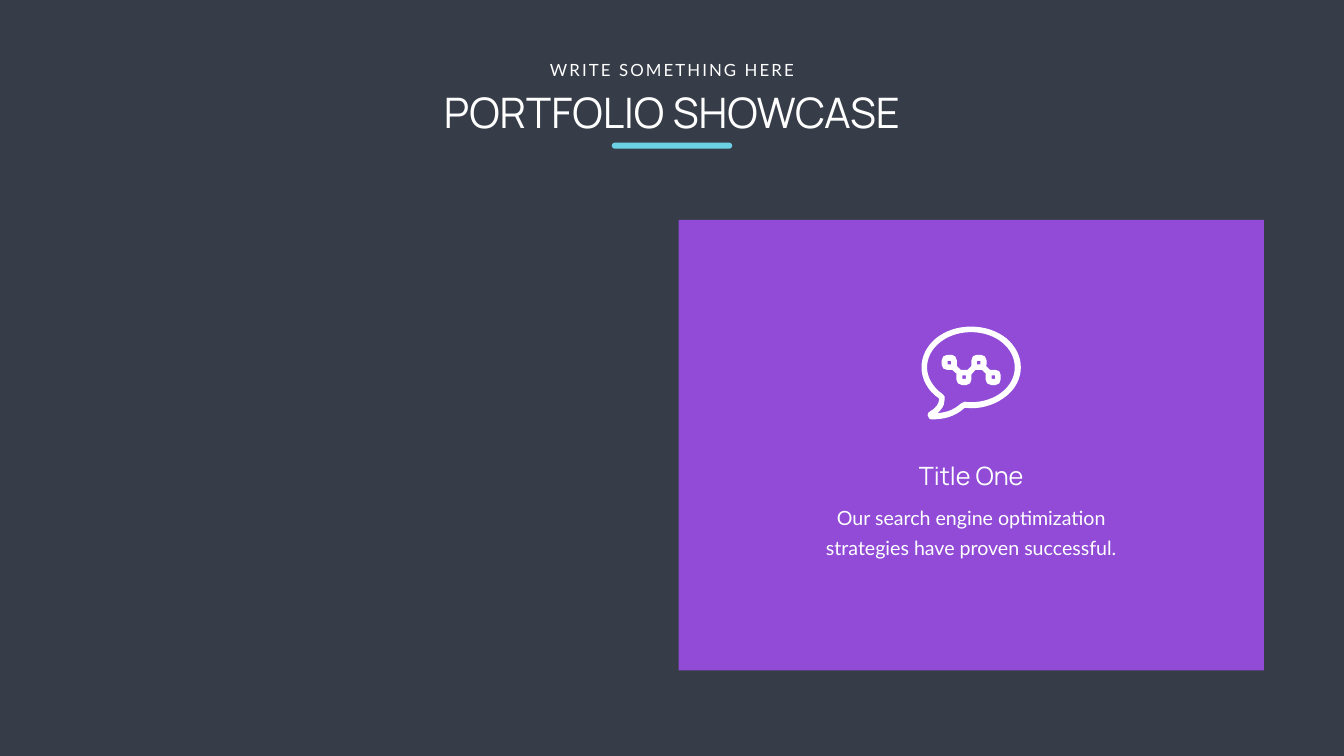
from lxml import etree
from pptx import Presentation, util as u
from pptx.dml.color import RGBColor
from pptx.enum import shapes, text
from pptx.oxml import ns

WIDTH, HEIGHT = u.Inches(26.66), u.Inches(15)
SLATE = RGBColor(0x36, 0x3D, 0x48)
PURPLE = RGBColor(0x91, 0x4B, 0xD7)
CYAN = RGBColor(0x6C, 0xD1, 0xE5)
WHITE = RGBColor(0xFF, 0xFF, 0xFF)

HEADER_X, CARD_X = 50, 72.26
ICON_UNIT = u.Inches(0.01)

BUBBLE = [
    [(98, 150), (94, 150, 90, 150, 86, 149), (83, 149, 81, 150, 79, 152),
     (71, 159, 62, 165, 52, 168), (45, 170, 39, 171, 31, 172),
     (34, 170, 37, 167, 39, 164), (44, 158, 46, 151, 46, 144),
     (46, 142, 46, 141, 46, 139), (45, 137, 44, 135, 42, 134),
     (23, 121, 11, 101, 11, 81), (11, 42, 50, 11, 98, 11),
     (147, 11, 185, 42, 185, 81), (185, 119, 147, 150, 98, 150)],
    [(168, 23), (149, 8, 125, 0, 98, 0), (72, 0, 48, 8, 29, 23),
     (10, 39, 0, 59, 0, 81), (0, 104, 12, 127, 34, 142),
     (35, 143, 35, 144, 35, 144), (35, 151, 30, 161, 17, 168),
     (14, 170, 12, 172, 12, 176), (12, 178, 13, 180, 15, 182),
     (16, 184, 19, 184, 21, 184), (42, 184, 65, 180, 86, 161),
     (90, 161, 94, 162, 98, 162), (125, 162, 149, 153, 168, 138),
     (187, 123, 197, 102, 197, 81), (197, 59, 187, 39, 168, 23)],
]
NODE_CHAIN = [
    (107, 30), (98, 30), (97, 30, 96, 30, 96, 30), (88, 22),
    (88, 22, 89, 21, 89, 20), (89, 11), (89, 5, 84, 0, 78, 0),
    (69, 0), (63, 0, 59, 5, 59, 11), (59, 20),
    (59, 21, 59, 22, 59, 22), (51, 30), (51, 30, 50, 30, 49, 30),
    (40, 30), (39, 30, 38, 30, 38, 30), (30, 22),
    (30, 22, 30, 21, 30, 20), (30, 11), (30, 5, 25, 0, 20, 0),
    (11, 0), (5, 0, 0, 5, 0, 11), (0, 20), (0, 26, 5, 30, 11, 30),
    (20, 30), (20, 30, 21, 30, 21, 30), (30, 38),
    (29, 39, 29, 39, 29, 40), (29, 49), (29, 55, 34, 60, 40, 60),
    (49, 60), (55, 60, 59, 55, 59, 49), (59, 40),
    (59, 40, 59, 39, 59, 39), (67, 30), (68, 30, 69, 30, 69, 30),
    (78, 30), (79, 30, 79, 30, 80, 30), (88, 38),
    (87, 39, 87, 39, 87, 40), (87, 49), (87, 55, 92, 60, 98, 60),
    (107, 60), (113, 60, 117, 55, 117, 49), (117, 40),
    (117, 34, 113, 30, 107, 30),
]
HOLE_CORNERS = [(99, 41), (41, 41), (12, 12), (70, 12)]


def centred(cx, top, width, height):
    return (round(WIDTH * (cx - width / 2) / 100), round(HEIGHT * top / 100),
            round(WIDTH * width / 100), round(HEIGHT * height / 100))


def paint(sp, colour):
    sp.shadow.inherit = False
    sp.fill.solid()
    sp.fill.fore_color.rgb = colour
    sp.line.fill.background()


def add_block(s, kind, box, colour):
    sp = s.shapes.add_shape(kind, *box)
    paint(sp, colour)
    return sp


def write(sp, words, font, size, wrap=True):
    tf = sp.text_frame
    tf.text = words
    tf.word_wrap = wrap
    tf.auto_size = text.MSO_AUTO_SIZE.SHAPE_TO_FIT_TEXT
    tf.vertical_anchor = text.MSO_ANCHOR.TOP
    p = tf.paragraphs[0]
    p.alignment = text.PP_ALIGN.CENTER
    p.font.name = font
    p.font.size = u.Pt(size)
    p.font.color.rgb = WHITE
    return p


def add_label(s, box, words, font, size, wrap=False):
    sp = s.shapes.add_textbox(*box)
    return sp, write(sp, words, font, size, wrap)


def set_title(s, box, words):
    sp = s.shapes.title
    sp.left, sp.top, sp.width, sp.height = box
    write(sp, words, "Manrope", 60)


def bend(line, controls):
    line.tag = ns.qn("a:cubicBezTo")
    for i in (0, 1):
        pt = etree.Element(ns.qn("a:pt"), x=str(controls[2 * i]), y=str(controls[2 * i + 1]))
        line.insert(i, pt)


def add_outline(s, box, contours):
    builder = s.shapes.build_freeform(*contours[0][0], scale=ICON_UNIT)
    for i, contour in enumerate(contours):
        if i:
            builder.move_to(*contour[0])
        builder.add_line_segments([segment[-2:] for segment in contour[1:]], close=True)
    sp = builder.convert_to_shape()
    lines = list(sp._element.iter(ns.qn("a:lnTo")))
    segments = [segment for contour in contours for segment in contour[1:]]
    for line, segment in zip(lines, segments):
        if len(segment) == 6:
            bend(line, segment[:4])
    sp.left, sp.top, sp.width, sp.height = box
    paint(sp, WHITE)


def square(x, y, side=7):
    return [(x, y), (x + side, y), (x + side, y + side), (x, y + side)]


def add_header(s):
    set_title(s, centred(HEADER_X, 11.13, 60.24, 7.4), "PORTFOLIO SHOWCASE")
    sp, p = add_label(s, centred(HEADER_X, 7.53, 19.28, 3.33),
                      "WRITE SOMETHING HERE", "Lato", 24)
    p.runs[0].font._element.set("spc", "300")
    bar = add_block(s, shapes.MSO_SHAPE.ROUNDED_RECTANGLE,
                    centred(HEADER_X, 18.87, 8.96, 0.8), CYAN)
    bar.adjustments[0] = 0.5


def add_card(s):
    add_block(s, shapes.MSO_SHAPE.RECTANGLE, centred(CARD_X, 29.07, 43.55, 59.6), PURPLE)
    add_label(s, centred(CARD_X, 60.6, 9.08, 4.73), "Title One", "Manrope", 36)
    sp, p = add_label(s, centred(CARD_X, 65.27, 23.74, 9.27),
                      "Our search engine optimization strategies have proven successful.",
                      "Lato", 28, wrap=True)
    p.line_spacing = u.Pt(43)
    tf = sp.text_frame
    tf.margin_left = tf.margin_right = u.Inches(0.24)
    tf.margin_top = tf.margin_bottom = u.Inches(0.12)
    add_outline(s, centred(CARD_X, 43.2, 7.39, 12.27), BUBBLE)
    add_outline(s, centred(CARD_X, 46.93, 4.39, 4),
                [square(x, y) for x, y in HOLE_CORNERS] + [NODE_CHAIN])


def main():
    prs = Presentation()
    prs.slide_width, prs.slide_height = WIDTH, HEIGHT
    s = prs.slides.add_slide(prs.slide_layouts[5])
    s.background.fill.solid()
    s.background.fill.fore_color.rgb = SLATE
    add_header(s)
    add_card(s)
    prs.save("out.pptx")


if __name__ == "__main__":
    main()
